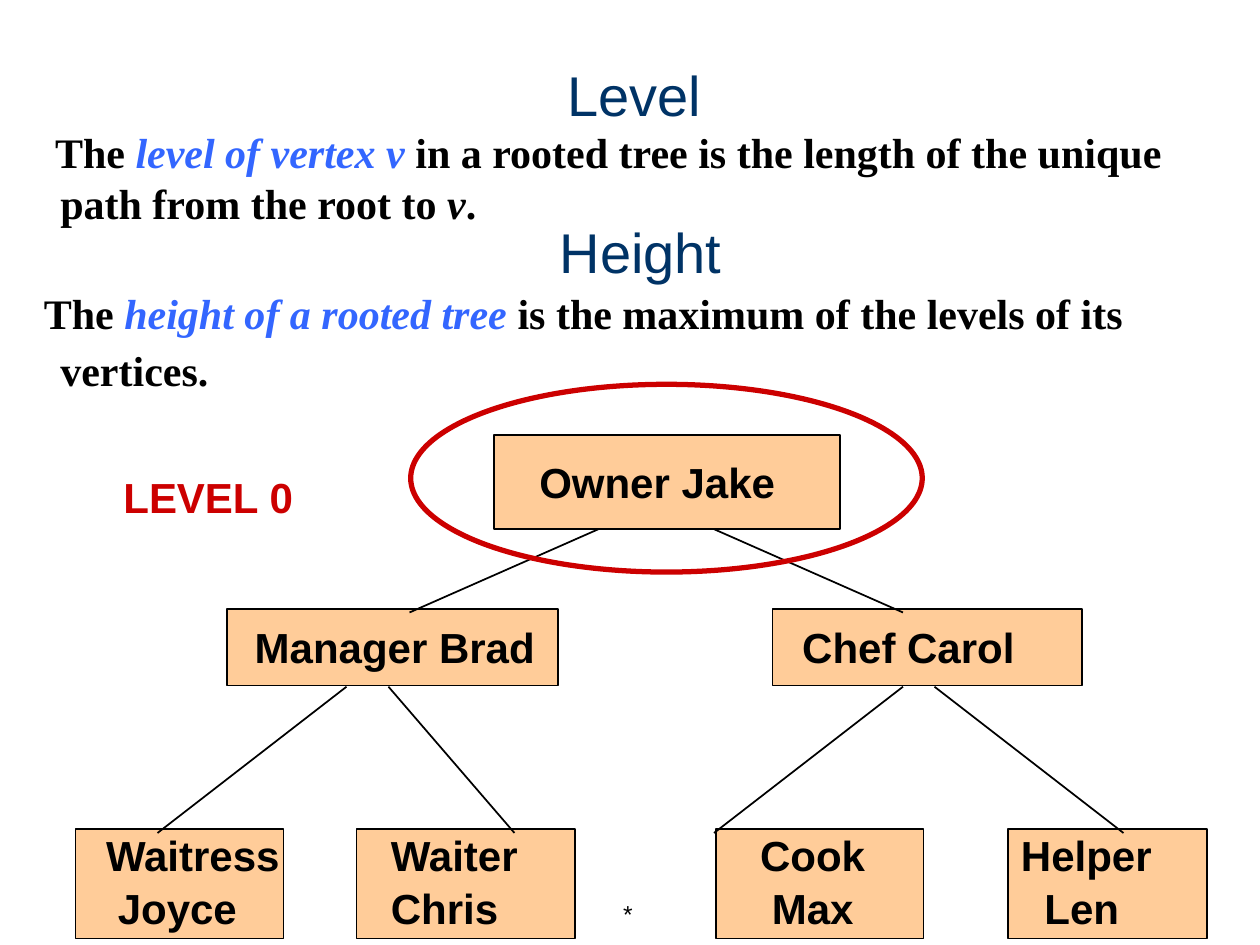
from dataclasses import dataclass

from lxml import etree
from pptx import Presentation
from pptx.dml.color import RGBColor
from pptx.enum.shapes import MSO_CONNECTOR, MSO_SHAPE
from pptx.enum.text import MSO_ANCHOR, PP_ALIGN
from pptx.oxml.ns import qn
from pptx.util import Pt

RECTANGLE, OVAL = MSO_SHAPE.RECTANGLE, MSO_SHAPE.OVAL
STRAIGHT = MSO_CONNECTOR.STRAIGHT
TOP, MIDDLE, BOTTOM = MSO_ANCHOR.TOP, MSO_ANCHOR.MIDDLE, MSO_ANCHOR.BOTTOM
LEFT, CENTER, RIGHT = PP_ALIGN.LEFT, PP_ALIGN.CENTER, PP_ALIGN.RIGHT
SANS, SERIF = "Arial", "Times New Roman"
COLORS = {
    "black": "000000",
    "heading": "003366",
    "term": "3366FF",
    "node": "FFCC99",
    "level": "CC0000",
}


@dataclass
class Span:
    text: str
    color: str = "black"
    size: float = 24
    font: str = SANS
    bold: bool = True
    italic: bool = False


@dataclass
class Label:
    left: float
    top: float
    width: float
    height: float
    spans: list[Span]
    align: PP_ALIGN = LEFT
    anchor: MSO_ANCHOR = TOP
    inset: float = 3.6
    margin: float = 0
    indent: float = 0
    pitch: float | None = None


@dataclass
class Node:
    left: float
    top: float
    width: float
    height: float
    lines: list[str]
    inset: float
    shift: float = 0
    anchor: MSO_ANCHOR = MIDDLE


@dataclass
class Edge:
    start_x: float
    start_y: float
    end_x: float
    end_y: float


def rgb(name: str) -> RGBColor:
    return RGBColor.from_string(COLORS[name])


def set_indent(para, margin: float, indent: float = 0) -> None:
    properties = para._p.get_or_add_pPr()
    properties.set("marL", str(Pt(margin)))
    properties.set("indent", str(Pt(indent)))


def add_span(para, span: Span) -> None:
    run = para.add_run()
    run.text = span.text
    run.font.name = span.font
    run.font.size = Pt(span.size)
    run.font.bold = span.bold
    run.font.italic = span.italic
    run.font.color.rgb = rgb(span.color)


def add_label(slide, label: Label) -> None:
    box = slide.shapes.add_textbox(
        Pt(label.left), Pt(label.top), Pt(label.width), Pt(label.height)
    )
    frame = box.text_frame
    frame.word_wrap = True
    frame.vertical_anchor = label.anchor
    frame.margin_top = Pt(label.inset)
    para = frame.paragraphs[0]
    para.alignment = label.align
    set_indent(para, label.margin, label.indent)
    if label.pitch:
        para.line_spacing = Pt(label.pitch)
    for span in label.spans:
        add_span(para, span)


def add_node(slide, node: Node) -> None:
    box = slide.shapes.add_shape(
        RECTANGLE, Pt(node.left), Pt(node.top), Pt(node.width), Pt(node.height)
    )
    box.shadow.inherit = False
    box.fill.solid()
    box.fill.fore_color.rgb = rgb("node")
    box.line.color.rgb = rgb("black")
    box.line.width = Pt(1)
    frame = box.text_frame
    frame.word_wrap = True
    frame.vertical_anchor = node.anchor
    frame.margin_left = Pt(node.inset)
    frame.margin_right = frame.margin_top = frame.margin_bottom = 0
    for index, line in enumerate(node.lines):
        para = frame.add_paragraph() if index else frame.paragraphs[0]
        para.alignment = LEFT
        if index:
            set_indent(para, node.shift)
            para.space_before = Pt(1.5)
        add_span(para, Span(line))


def add_edge(slide, edge: Edge) -> None:
    line = slide.shapes.add_connector(
        STRAIGHT, Pt(edge.start_x), Pt(edge.start_y), Pt(edge.end_x), Pt(edge.end_y)
    )
    line.line.color.rgb = rgb("black")
    line.line.width = Pt(1)
    etree.SubElement(line._element.spPr, qn("a:effectLst"))


def add_ring(slide, left: float, top: float, width: float, height: float) -> None:
    ring = slide.shapes.add_shape(OVAL, Pt(left), Pt(top), Pt(width), Pt(height))
    ring.shadow.inherit = False
    ring.fill.background()
    ring.line.color.rgb = rgb("level")
    ring.line.width = Pt(3)


def heading(text: str, left: float, top: float) -> Label:
    span = Span(text, "heading", 32, bold=False)
    return Label(left, top, 664.6, 48.2, [span], CENTER, BOTTOM)


def serif(text: str, color: str = "black", italic: bool = False) -> Span:
    return Span(text, color, font=SERIF, italic=italic)


def leaf(left: float, width: float, lines: list[str], inset: float, shift: float) -> Node:
    return Node(left, 473.8, width, 62.6, lines, inset, shift, TOP)


LEVEL_TEXT = [
    serif("The "),
    serif("level of vertex v ", "term", True),
    serif("in a rooted tree is the length of the unique path from the root to "),
    serif("v", italic=True),
    serif("."),
]
HEIGHT_TEXT = [
    serif("The "),
    serif("height of a rooted tree ", "term", True),
    serif("is the maximum of the levels of its vertices."),
]
LABELS = [
    Label(320.4, 504, 48.2, 36, [Span("*", size=14, bold=False)], RIGHT, MIDDLE),
    heading("Level", 30.2, 28.1),
    Label(0, 72, 720, 62, LEVEL_TEXT, inset=0, margin=27.4, indent=-3, pitch=29),
    heading("Height", 33.8, 118.1),
    Label(0, 160.5, 675.4, 68, HEIGHT_TEXT, inset=0, margin=27.4, indent=-9.4, pitch=32.6),
    Label(63.4, 266, 120, 36, [Span("LEVEL 0", "level")]),
]
NODES = [
    leaf(43.2, 118.8, ["Waitress", "Joyce"], 17.4, 6.7),
    leaf(203.8, 124.6, ["Waiter", "Chris"], 19.6, 0),
    leaf(409, 118.8, ["Cook", "Max"], 25.3, 6.7),
    leaf(576, 113.8, ["Helper", "Len"], 7.4, 13.4),
    Node(282.2, 248.4, 198, 54, ["Owner Jake"], 26),
    Node(129.6, 347.8, 189.4, 43.9, ["Manager Brad"], 16),
    Node(441.4, 347.8, 177.1, 43.9, ["Chef Carol"], 17),
]
EDGES = [
    Edge(342, 302.4, 234, 350),
    Edge(408, 302.4, 516, 350),
    Edge(198, 392.4, 90, 476),
    Edge(516, 392.4, 408, 476),
    Edge(222, 392.4, 294, 476),
    Edge(534, 392.4, 642, 476),
]


def main() -> None:
    deck = Presentation()
    deck.slide_width, deck.slide_height = Pt(720), Pt(540)
    slide = deck.slides.add_slide(deck.slide_layouts[6])
    for node in NODES:
        add_node(slide, node)
    for edge in EDGES:
        add_edge(slide, edge)
    for label in LABELS:
        add_label(slide, label)
    add_ring(slide, 234.7, 219.6, 292.3, 107.3)
    deck.save("out.pptx")


if __name__ == "__main__":
    main()
